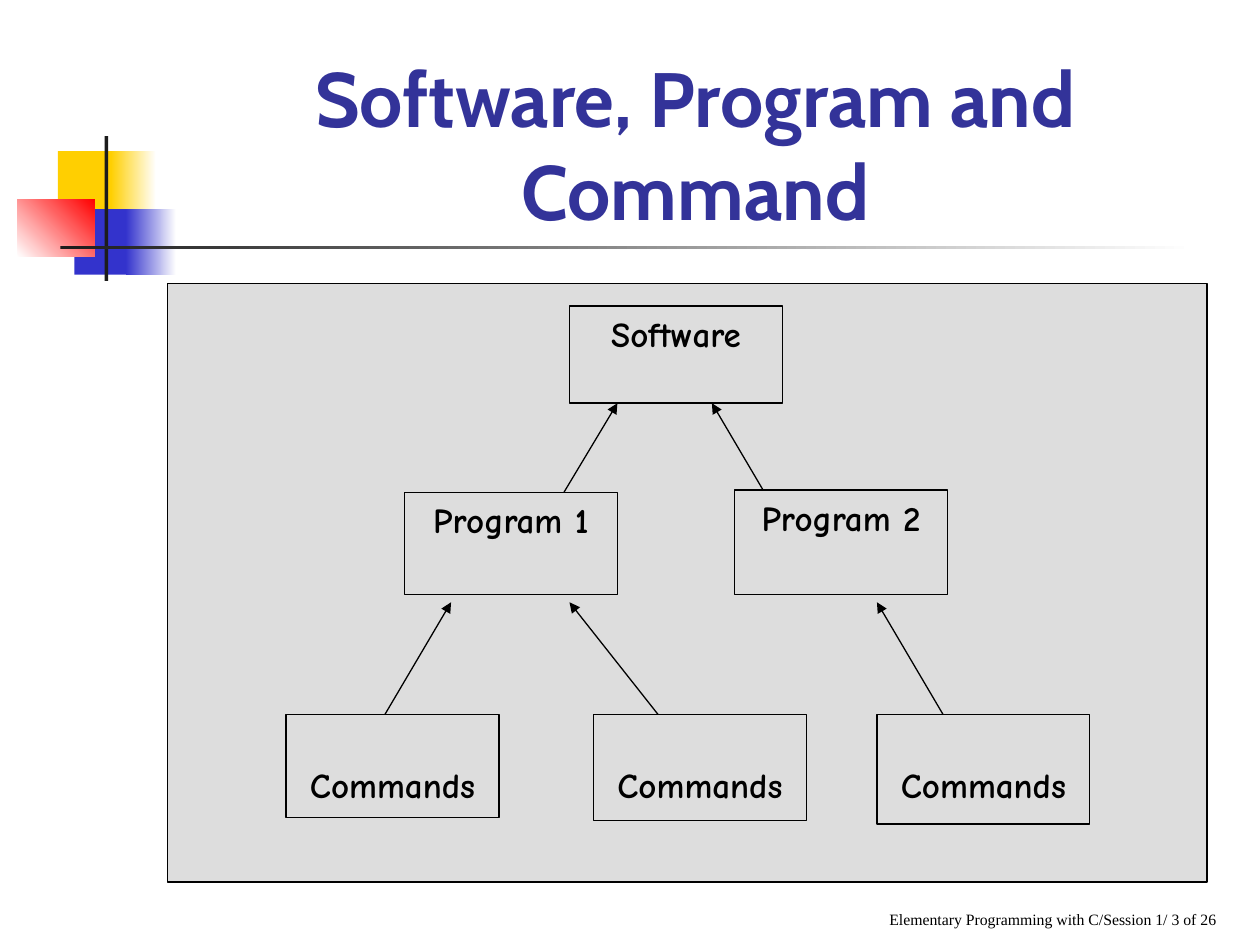
from pptx import Presentation
from pptx.dml.color import RGBColor
from pptx.enum.shapes import MSO_CONNECTOR, MSO_SHAPE
from pptx.enum.text import MSO_ANCHOR, PP_ALIGN
from pptx.oxml.ns import qn
from pptx.util import Inches, Pt
from lxml import etree

RECT = MSO_SHAPE.RECTANGLE
STRAIGHT = MSO_CONNECTOR.STRAIGHT
TOP, BOTTOM = MSO_ANCHOR.TOP, MSO_ANCHOR.BOTTOM
CENTER, RIGHT = PP_ALIGN.CENTER, PP_ALIGN.RIGHT

THEME = {
    "title": {"font": "Cabin", "size": 44, "color": "333399", "bold": True},
    "node": {"font": "Comic Neue", "size": 20, "color": "000000", "bold": True},
    "footer": {"font": "Times New Roman", "size": 9, "color": "000000"},
    "panel": "DDDDDD", "line": "000000", "line_width": 0.75,
    "yellow": "FFCF01", "blue": "3333CC", "red": "FF0000",
    "dark": "1C1C1C", "white": "FFFFFF",
}

# Content
TITLE = "Software, Program and Command"
FOOTER = "Elementary Programming with C/Session 1/ 3 of 26"
PANEL = (1.33, 2.25, 8.25, 4.75)
NODE_WIDTH = 1.69
COMMAND_INSET = 0.39  # commands sit one line lower in their boxes
# label, left, top, height, top inset
NODES = [
    ("Software", 4.52, 2.43, 0.77, 0.05),
    ("Program 2", 5.83, 3.89, 0.83, 0.05),
    ("Program 1", 3.21, 3.91, 0.81, 0.05),
    ("Commands", 2.27, 5.67, 0.82, COMMAND_INSET),
    ("Commands", 4.71, 5.67, 0.84, COMMAND_INSET),
    ("Commands", 6.96, 5.67, 0.87, COMMAND_INSET),
]
# bottom and top of each level of arrows, then (from x, to x) pairs
ARROW_LEVELS = [
    (5.73, 4.78, [(3.02, 3.58), (5.27, 4.52), (7.52, 6.96)]),
    (4.15, 3.2, [(4.33, 4.9), (6.21, 5.65)]),
]
# place, colours (one is solid, two fade), angle
ORNAMENT = [
    ((0.46, 1.2, 0.48, 0.52), ["yellow"], 0),
    ((0.88, 1.2, 0.36, 0.52), ["yellow", "white"], 0),
    ((0.59, 1.66, 0.46, 0.52), ["blue"], 0),
    ((1, 1.66, 0.4, 0.52), ["blue", "white"], 0),
    ((0.14, 1.58, 0.61, 0.46), ["white", "red"], 45),
    ((0.83, 1.08, 0.03, 1.15), ["dark"], 0),
    ((0.48, 1.95, 9, 0.03), ["dark", "white"], 0),
]


def rgb(value):
    return RGBColor.from_string(value)


def write(box, text, font, size, color, bold=False, align=CENTER,
          anchor=TOP, top_inset=0.05):
    frame = box.text_frame
    frame.word_wrap = True
    frame.vertical_anchor = anchor
    frame.margin_left = frame.margin_right = Inches(0.1)
    frame.margin_top, frame.margin_bottom = Inches(top_inset), Inches(0.05)
    paragraph = frame.paragraphs[0]
    paragraph.alignment = align
    run = paragraph.add_run()
    run.text = text
    run.font.name, run.font.size, run.font.bold = font, Pt(size), bold
    run.font.color.rgb = rgb(color)


def add_rect(shapes, place, colors, angle=0, outlined=False):
    rect = shapes.add_shape(RECT, *map(Inches, place))
    rect.shadow.inherit = False
    if len(colors) == 1:
        rect.fill.solid()
        rect.fill.fore_color.rgb = rgb(colors[0])
    else:
        rect.fill.gradient()
        rect.fill.gradient_angle = angle
        for stop, color in zip(rect.fill.gradient_stops, colors):
            stop.color.rgb = rgb(color)
    if outlined:
        rect.line.color.rgb = rgb(THEME["line"])
        rect.line.width = Pt(THEME["line_width"])
    else:
        rect.line.fill.background()
    return rect


def add_arrow(shapes, start, end):
    arrow = shapes.add_connector(STRAIGHT, *map(Inches, start + end))
    arrow.line.color.rgb = rgb(THEME["line"])
    arrow.line.width = Pt(THEME["line_width"])
    etree.SubElement(arrow.line._get_or_add_ln(), qn("a:tailEnd"), type="triangle")
    etree.SubElement(arrow._element.spPr, qn("a:effectLst"))


def main():
    prs = Presentation()
    prs.slide_width, prs.slide_height = Inches(10), Inches(7.5)
    slide = prs.slides.add_slide(prs.slide_layouts[6])
    shapes = slide.shapes

    # Corner ornament and title rule
    for place, names, angle in ORNAMENT:
        add_rect(shapes, place, [THEME[name] for name in names], angle)

    # Footer and title
    footer = shapes.add_textbox(*map(Inches, (3.67, 6.92, 6.08, 0.5)))
    write(footer, FOOTER, align=RIGHT, anchor=BOTTOM, **THEME["footer"])
    title = shapes.add_textbox(*map(Inches, (1.26, 0.67, 8.52, 1.25)))
    write(title, TITLE, anchor=BOTTOM, **THEME["title"])

    # Diagram: panel, arrows, then the boxes that cover the arrow ends
    diagram = shapes.add_group_shape().shapes
    add_rect(diagram, PANEL, [THEME["panel"]], outlined=True)
    for bottom, top, pairs in ARROW_LEVELS:
        for from_x, to_x in pairs:
            add_arrow(diagram, (from_x, bottom), (to_x, top))
    for label, left, top, height, inset in NODES:
        node = add_rect(diagram, (left, top, NODE_WIDTH, height),
                        [THEME["panel"]], outlined=True)
        write(node, label, top_inset=inset, **THEME["node"])

    prs.save("out.pptx")


if __name__ == "__main__":
    main()
